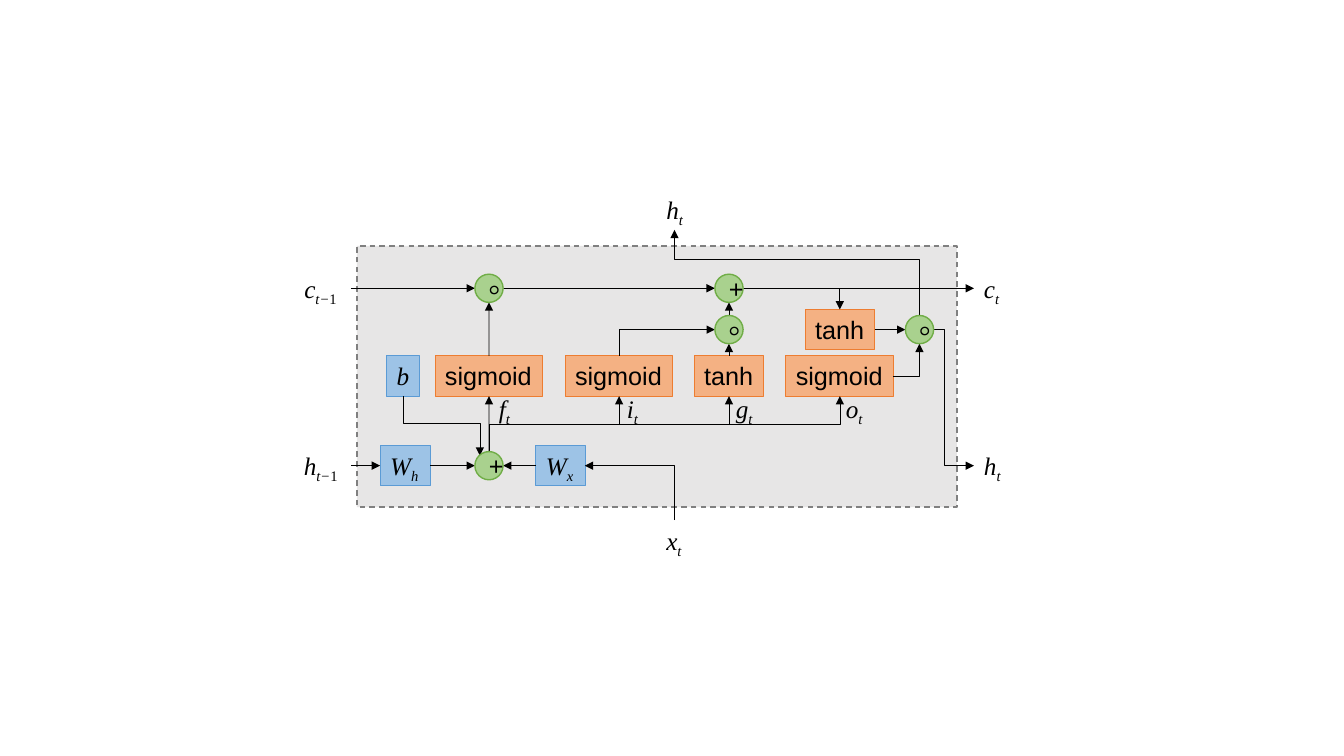
import pptx
import pptx.util
import pptx.dml.color
import pptx.enum.dml
import pptx.enum.shapes
import pptx.enum.text
import pptx.oxml.ns
from lxml import etree

Inch = pptx.util.Inches
Kind = pptx.enum.shapes.MSO_SHAPE
Align = pptx.enum.text.PP_ALIGN
Anchor = pptx.enum.text.MSO_ANCHOR
qn = pptx.oxml.ns.qn

tint = {
    "frame": "E7E6E6", "edge": "808080", "ink": "000000",
    "gate": "F4B183", "gate edge": "ED7D31",
    "weight": "9DC3E6", "weight edge": "5B9BD5",
    "node": "A9D18E", "node edge": "70AD47",
}
sans, serif = "Arial", "Times New Roman"
col = {"bias": 4.0, "forget": 4.85, "input": 6.14, "state": 6.69,
       "cand": 7.23, "output": 8.33, "hidden": 9.12}
row = {"cell": 2.86, "mid": 3.27, "gate": 3.73, "bus": 4.21, "label": 4.05, "sum": 4.62}
tall, node, left, right = 0.4, 0.28, 3.48, 9.66
half = node / 2
top, foot = row["gate"] - tall / 2, row["gate"] + tall / 2

deck = pptx.Presentation()
deck.slide_width, deck.slide_height = Inch(13.33), Inch(7.5)
slide = deck.slides.add_slide(deck.slide_layouts[6])
shapes = slide.shapes


def paint(shape, fill, edge, width):
    shape.shadow.inherit = False
    if fill:
        shape.fill.solid()
        shape.fill.fore_color.rgb = pptx.dml.color.RGBColor.from_string(tint[fill])
    else:
        shape.fill.background()
    shape.line.color.rgb = pptx.dml.color.RGBColor.from_string(tint[edge])
    shape.line.width = pptx.util.Pt(width)


def write(shape, face, text, sub="", tail=""):
    para = shape.text_frame.paragraphs[0]
    para.font.size = pptx.util.Pt(18)
    para.font.name = face
    para.font.italic = face == serif
    para.font.color.rgb = pptx.dml.color.RGBColor.from_string(tint["ink"])
    for part in filter(None, (text, sub, tail)):
        run = para.add_run()
        run.text = part
        if part in (sub, tail):
            run._r.get_or_add_rPr().set("baseline", "-25000")
        if part == tail:
            run.font.italic = False
    return para


frame = shapes.add_shape(Kind.RECTANGLE, Inch(3.54), Inch(2.44), Inch(5.95), Inch(2.59))
paint(frame, "frame", "edge", 1)
frame.line.dash_style = pptx.enum.dml.MSO_LINE.DASH

boxes = [
    ("input", col["input"], row["gate"], 1.07, "gate", ["sigmoid"]),
    ("forget", col["forget"], row["gate"], 1.07, "gate", ["sigmoid"]),
    ("cand", col["cand"], row["gate"], 0.69, "gate", ["tanh"]),
    ("output", col["output"], row["gate"], 1.07, "gate", ["sigmoid"]),
    ("squash", col["output"], row["mid"], 0.69, "gate", ["tanh"]),
    ("Wh", 4.02, row["sum"], 0.5, "weight", ["W", "h"]),
    ("Wx", 5.56, row["sum"], 0.49, "weight", ["W", "x"]),
    ("bias", col["bias"], row["gate"], 0.33, "weight", ["b"]),
    ("x", 6.7, 5.36, 0.38, None, ["x", "t"]),
    ("h old", 3.2, row["sum"], 0.57, None, ["h", "t−", "1"]),
    ("c old", 3.2, row["cell"], 0.56, None, ["c", "t−", "1"]),
    ("c new", 9.84, row["cell"], 0.36, None, ["c", "t"]),
    ("h new", 9.85, row["sum"], 0.38, None, ["h", "t"]),
    ("h up", 6.7, 2.08, 0.38, None, ["h", "t"]),
    ("f", 5.01, row["label"], 0.32, None, ["f", "t"]),
    ("i", 6.28, row["label"], 0.32, None, ["i", "t"]),
    ("g", 7.39, row["label"], 0.38, None, ["g", "t"]),
    ("o", 8.48, row["label"], 0.38, None, ["o", "t"]),
]
block = {}
for name, x, y, wide, kind, parts in boxes:
    place = [Inch(v) for v in (x - wide / 2, y - tall / 2, wide, tall)]
    if kind:
        box = shapes.add_shape(Kind.RECTANGLE, *place)
        paint(box, kind, kind + " edge", 0.75)
    else:
        box = shapes.add_textbox(*place)
    box.text_frame.word_wrap = False
    box.text_frame.auto_size = pptx.enum.text.MSO_AUTO_SIZE.SHAPE_TO_FIT_TEXT
    box.text_frame.vertical_anchor = Anchor.TOP
    write(box, sans if kind == "gate" else serif, *parts).alignment = Align.LEFT
    block[name] = box

wires = [
    (("Wx", 1), (col["forget"] + half, row["sum"])),
    (("Wh", 3), (col["forget"] - half, row["sum"])),
    (("h old", 3), ("Wh", 1)),
    ((col["forget"], row["sum"] - half), ("forget", 2)),
    (("c old", 3), (col["forget"] - half, row["cell"])),
    ((col["forget"] + half, row["cell"]), (col["cand"] - half, row["cell"])),
    ((col["cand"], row["mid"] - half), (col["cand"], row["cell"] + half)),
    (("forget", 0), (col["forget"], row["cell"] + half)),
    (("cand", 0), (col["cand"], row["mid"] + half)),
    (("squash", 3), (col["hidden"] - half, row["mid"])),
    ((col["cand"] + half, row["cell"]), ("c new", 1)),
]
lines = []
for ends in wires:
    spots = [(0, 0) if end[0] in block else end for end in ends]
    wire = shapes.add_connector(pptx.enum.shapes.MSO_CONNECTOR.STRAIGHT,
                                *[Inch(v) for spot in spots for v in spot])
    for end, join in zip(ends, (wire.begin_connect, wire.end_connect)):
        if end[0] in block:
            join(block[end[0]], end[1])
    wire.line.color.rgb = pptx.dml.color.RGBColor.from_string(tint["ink"])
    wire.line.width = pptx.util.Pt(0.5)
    etree.SubElement(wire._element.spPr, qn("a:effectLst"))
    lines.append(wire)

bends = [
    [(col["state"], 5.16), (col["state"], row["sum"]), (5.8, row["sum"])],
    [(col["input"], top), (col["input"], row["mid"]), (col["cand"] - half, row["mid"])],
    [(8.86, row["gate"]), (col["hidden"], row["gate"]), (col["hidden"], row["mid"] + half)],
    [(col["cand"] + half, row["cell"]), (col["output"], row["cell"]),
     (col["output"], row["mid"] - tall / 2)],
    [(col["hidden"] + half, row["mid"]), (9.37, row["mid"]), (9.37, row["sum"]),
     (right, row["sum"])],
    [(col["hidden"], row["mid"] - half), (col["hidden"], 2.57), (col["state"], 2.57),
     (col["state"], 2.28)],
    [(col["bias"], foot), (col["bias"], 4.2), (4.76, 4.2), (4.76, 4.52)],
]
for gate in ("input", "cand", "output"):
    bends.append([(col["forget"], row["sum"] - half), (col["forget"], row["bus"]),
                  (col[gate], row["bus"]), (col[gate], foot)])
for bend in bends:
    spots = [(Inch(x), Inch(y)) for x, y in bend]
    pen = shapes.build_freeform(*spots[0])
    pen.add_line_segments(spots[1:], close=False)
    route = pen.convert_to_shape()
    paint(route, None, "ink", 0.5)
    lines.append(route)

for line in lines:
    etree.SubElement(line.line._get_or_add_ln(), qn("a:tailEnd"), type="triangle")

nodes = [("forget", "cell", "৹"), ("hidden", "mid", "৹"), ("cand", "mid", "৹"),
         ("cand", "cell", "+"), ("forget", "sum", "+")]
for x, y, sign in nodes:
    disc = shapes.add_shape(Kind.OVAL, Inch(col[x] - half), Inch(row[y] - half),
                            Inch(node), Inch(node))
    paint(disc, "node", "node edge", 1)
    disc.text_frame.vertical_anchor = Anchor.MIDDLE
    write(disc, sans, sign).alignment = Align.CENTER

deck.save("out.pptx")
